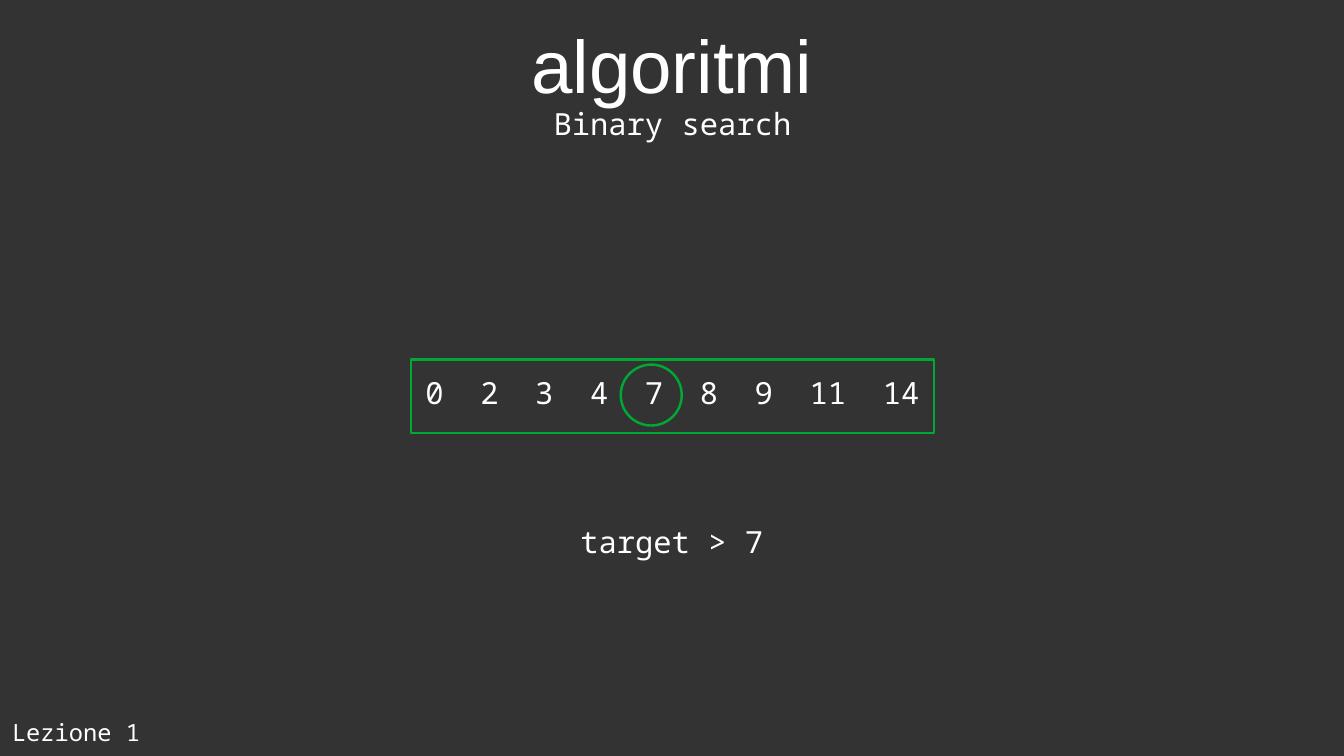
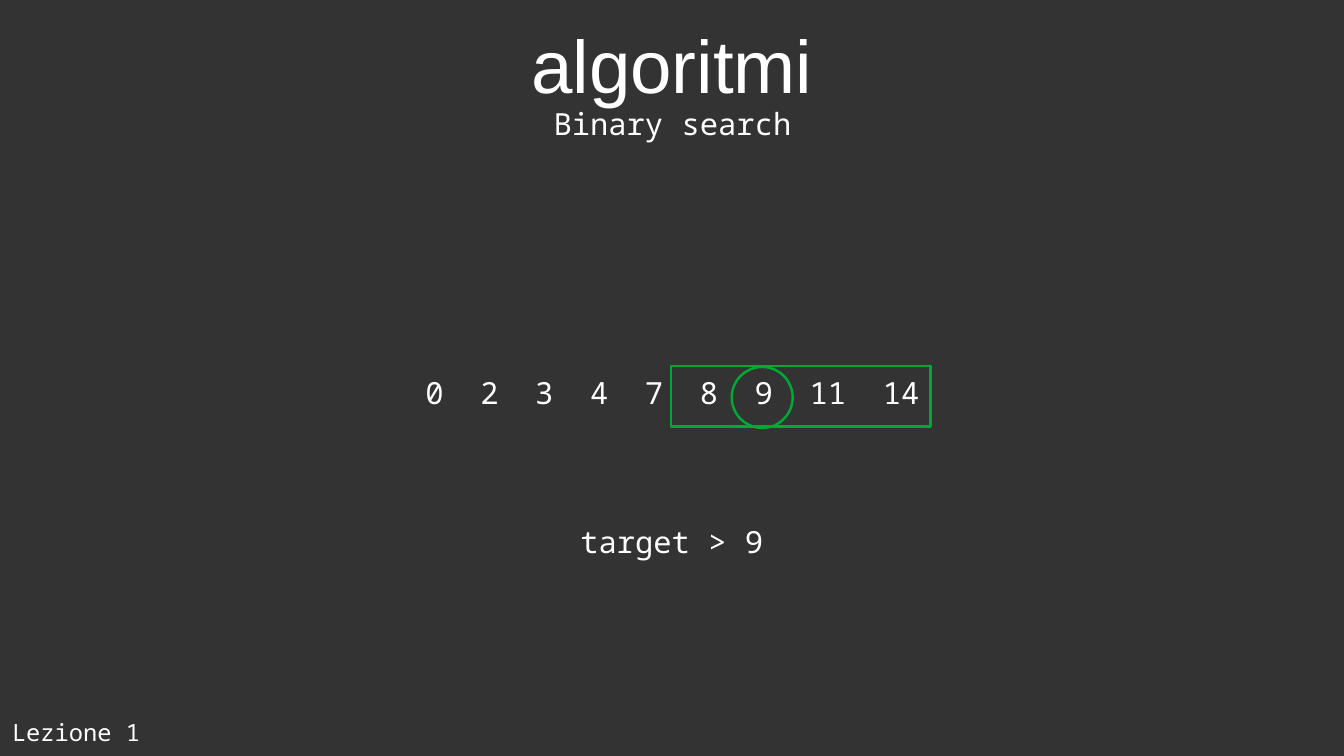
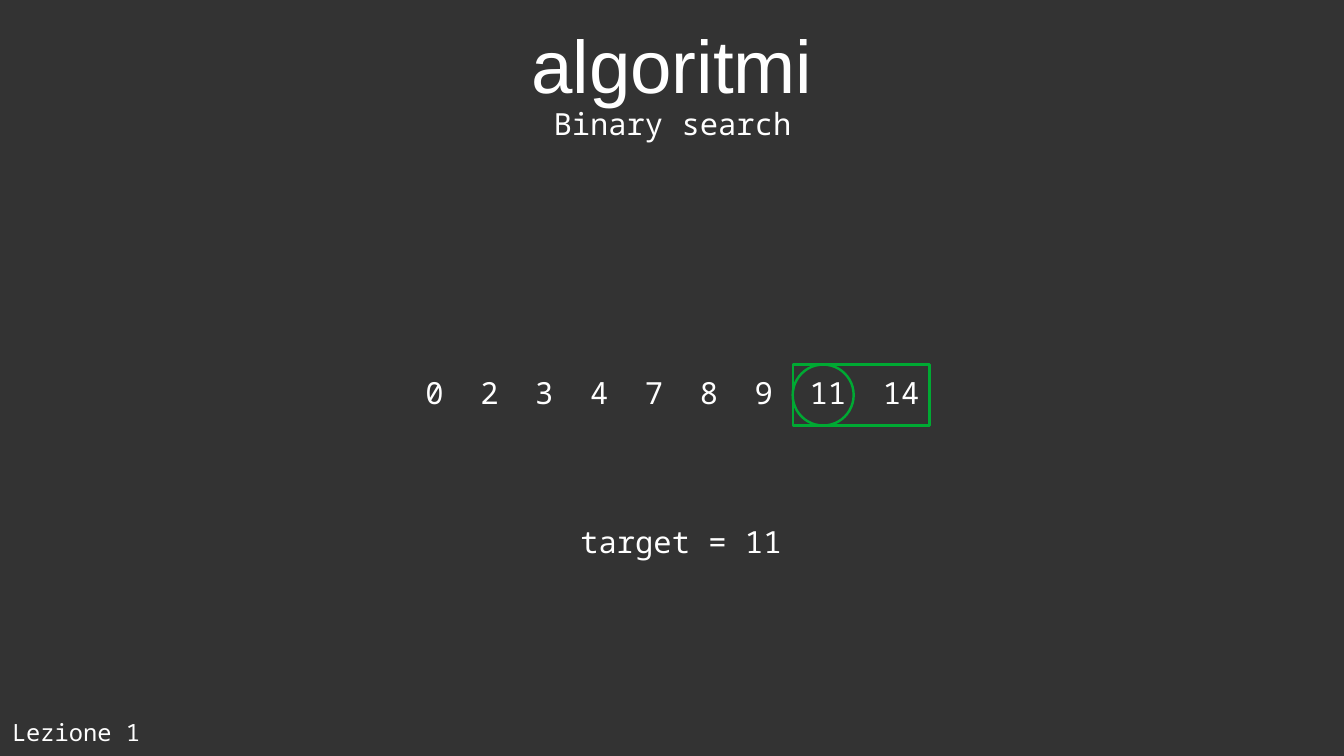
from pptx import Presentation
from pptx.dml.color import RGBColor
from pptx.enum.shapes import MSO_SHAPE
from pptx.enum.text import MSO_ANCHOR, MSO_AUTO_SIZE, PP_ALIGN
from pptx.oxml.ns import qn
from pptx.util import Inches, Pt
from lxml import etree

RECTANGLE, OVAL = MSO_SHAPE.RECTANGLE, MSO_SHAPE.OVAL
CENTER, LEFT = PP_ALIGN.CENTER, PP_ALIGN.LEFT
MIDDLE, TOP = MSO_ANCHOR.MIDDLE, MSO_ANCHOR.TOP
GROW = MSO_AUTO_SIZE.SHAPE_TO_FIT_TEXT
TITLE_ONLY = 5


def color(value):
    return RGBColor.from_string(value)


def apply(target, settings):
    for name, value in settings.items():
        setattr(target, name, value)


class Lesson:
    """Holds the shared style and the current slide."""
    background, ink, accent = "333333", "FFFFFF", "00A933"
    title_font, code_font = "Arial", "Noto Sans Mono"
    title_size, code_size, footer_size = 44, 18, 14
    character = 0.15  # width of one code character, in inches

    def __init__(self):
        self.deck = Presentation()
        apply(self.deck, {"slide_width": Inches(11.02), "slide_height": Inches(6.2)})
        fill = self.deck.slide_master.background.fill
        fill.solid()
        fill.fore_color.rgb = color(self.background)
        self.page = None

    def new_page(self, title, subtitle, footer):
        self.page = self.deck.slides.add_slide(self.deck.slide_layouts[TITLE_ONLY])
        self.title(title)
        self.text(subtitle, 4.44, 0.81, 2.15)
        self.text(footer, 0, 5.84, 1.25, 0.36, self.footer_size)

    def add_line(self, box, text, font, size, align):
        para = box.text_frame.paragraphs[0]
        para.alignment = align
        span = para.add_run()
        span.text = text
        apply(span.font, {"name": font, "size": Pt(size)})
        span.font.color.rgb = color(self.ink)
        return para

    def title(self, text):
        box = self.page.shapes.title
        apply(box, {"left": Inches(0.55), "top": Inches(0),
                    "width": Inches(9.92), "height": Inches(1.04)})
        apply(box.text_frame, {
            "margin_left": 0, "margin_right": 0, "margin_top": 0, "margin_bottom": 0,
            "vertical_anchor": MIDDLE, "auto_size": GROW})
        self.add_line(box, text, self.title_font, self.title_size, CENTER)

    def text(self, text, left, top, width, height=0.44, size=code_size, wrap=False):
        box = self.page.shapes.add_textbox(
            Inches(left), Inches(top), Inches(width), Inches(height))
        apply(box.text_frame, {
            "word_wrap": wrap, "auto_size": GROW, "vertical_anchor": TOP})
        return self.add_line(box, text, self.code_font, size, LEFT)

    def array(self, values, left, top, width):
        """One line of values, two characters apart, set by tab stops."""
        para = self.text("\t".join(values), left, top, width, wrap=True)
        stops = etree.SubElement(para._p.get_or_add_pPr(), qn("a:tabLst"))
        position = 0
        for value in values[:-1]:
            position += (len(value) + 2) * self.character
            etree.SubElement(stops, qn("a:tab"), pos=str(Inches(position)), algn="l")

    def outline(self, kind, left, top, width, height):
        shape = self.page.shapes.add_shape(
            kind, Inches(left), Inches(top), Inches(width), Inches(height))
        shape.shadow.inherit = False
        shape.fill.background()
        shape.line.color.rgb = color(self.accent)
        shape.line.width = Pt(1.45)

    def ring(self, left, top):
        self.outline(OVAL, left, top, 0.5, 0.5)


# Search steps: searched range, middle element, comparison and its width
VALUES = ["0", "2", "3", "4", "7", "8", "9", "11", "14"]
STEPS = [
    ((3.37, 2.95, 4.29, 0.6), (5.09, 2.99), "target > 7", 1.7),
    ((5.5, 3, 2.13, 0.5), (6, 3.01), "target > 9", 1.7),
    ((6.5, 2.99, 1.12, 0.5), (6.5, 2.99), "target = 11", 1.85),
]

lesson = Lesson()
for search_range, middle, comparison, width in STEPS:
    lesson.new_page("algoritmi", "Binary search", "Lezione 1")
    lesson.array(VALUES, 3.39, 3.02, 4.3)
    lesson.outline(RECTANGLE, *search_range)
    lesson.ring(*middle)
    lesson.text(comparison, 4.66, 4.24, width)

lesson.deck.save("out.pptx")
